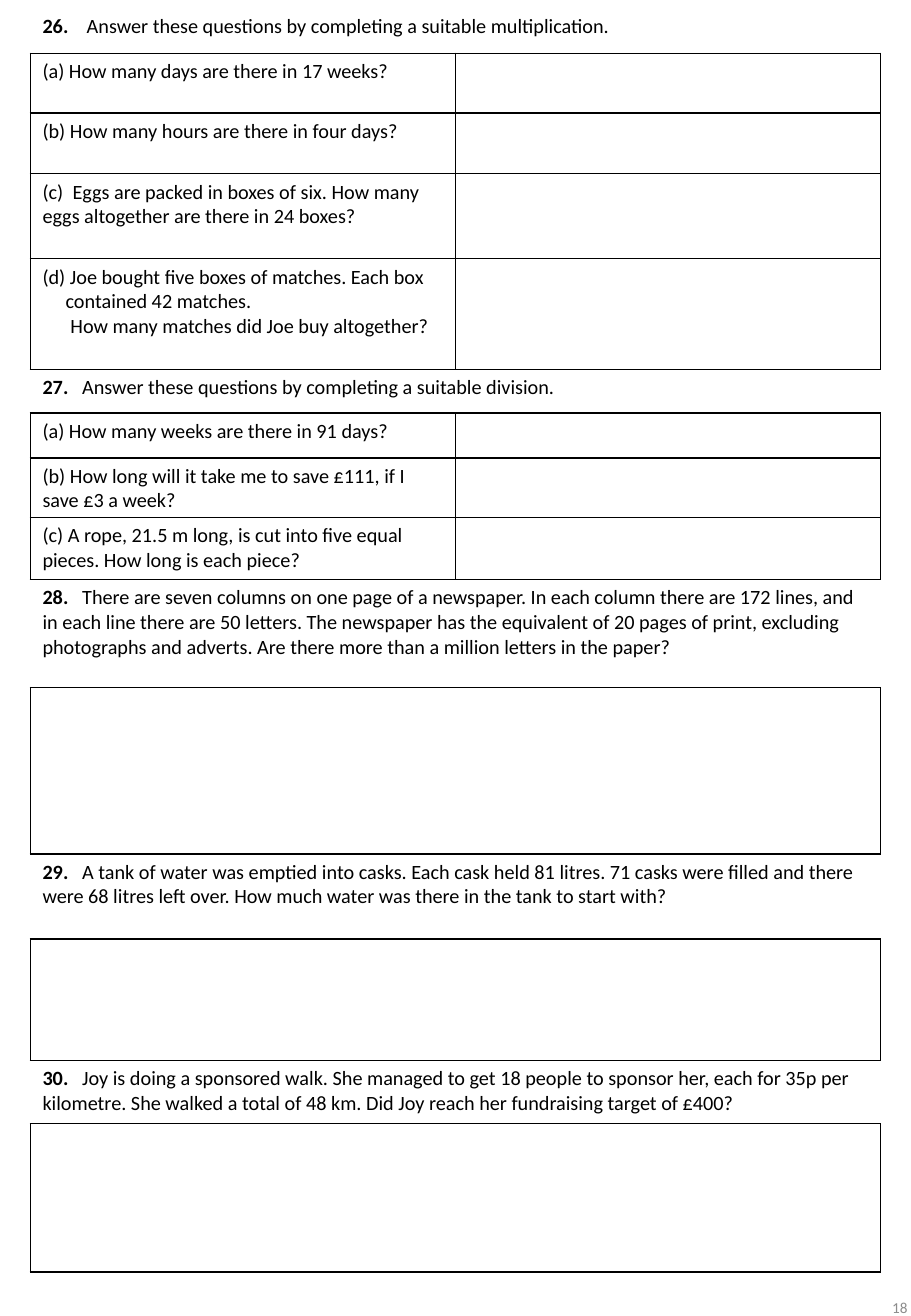
import pptx
import pptx.dml.color
import pptx.enum.text
import pptx.oxml.ns
import pptx.util
from lxml import etree

BLACK = pptx.dml.color.RGBColor(0x00, 0x00, 0x00)
GREY = pptx.dml.color.RGBColor(0x8C, 0x8C, 0x8C)
PX = 9144
QUESTION, SPLIT, OPEN = "question", "split", "open"

ROWS = [
    (37, QUESTION, [dict(label="26.", gap=813, text="Answer these questions by completing a suitable multiplication.")]),
    (49, SPLIT, [dict(text="(a) How many days are there in 17 weeks?")]),
    (50, SPLIT, [dict(text="(b) How many hours are there in four days?")]),
    (70, SPLIT, [dict(label="(c)", gap=271, bold=False, text=(
        "Eggs are packed in boxes of six. How many eggs altogether are there in 24 boxes?"))]),
    (91, SPLIT, [
        dict(left=19, first=-19, text="(d) Joe bought five boxes of matches. Each box contained 42 matches."),
        dict(left=23, text="How many matches did Joe buy altogether?"),
    ]),
    (36, QUESTION, [dict(label="27.", text="Answer these questions by completing a suitable division.")]),
    (37, SPLIT, [dict(text="(a) How many weeks are there in 91 days?")]),
    (49, SPLIT, [dict(text="(b) How long will it take me to save £111, if I save £3 a week?")]),
    (51, SPLIT, [dict(text="(c) A rope, 21.5 m long, is cut into five equal pieces. How long is each piece?")]),
    (89, QUESTION, [dict(label="28.", text=(
        "There are seven columns on one page of a newspaper. In each column there are 172 lines, "
        "and in each line there are 50 letters. The newspaper has the equivalent of 20 pages of print, "
        "excluding photographs and adverts. Are there more than a million letters in the paper?"))]),
    (137, OPEN, []),
    (70, QUESTION, [dict(label="29.", text=(
        "A tank of water was emptied into casks. Each cask held 81 litres. 71 casks were filled "
        "and there were 68 litres left over. How much water was there in the tank to start with?"))]),
    (100, OPEN, []),
    (52, QUESTION, [dict(label="30.", text=(
        "Joy is doing a sponsored walk. She managed to get 18 people to sponsor her, each for 35p "
        "per kilometre. She walked a total of 48 km. Did Joy reach her fundraising target of £400?"))]),
    (122, OPEN, []),
]


class Worksheet:
    """Draws worksheet elements on one slide in a shared style."""

    size = pptx.util.Pt(12)
    font = "Calibri"

    def __init__(self, prs):
        self.slide = prs.slides.add_slide(prs.slide_layouts[6])

    def px(self, n):
        return pptx.util.Emu(n * PX)

    def add(self, parent, tag, **attrs):
        return etree.SubElement(parent, pptx.oxml.ns.qn(tag), attrs)

    def apply(self, obj, values):
        for name, value in values.items():
            setattr(obj, name, value)

    def run(self, p, text, color=BLACK, **values):
        r = p.add_run()
        r.text = text
        self.apply(r.font, {"name": self.font, "size": self.size, "bold": False, **values})
        r.font.color.rgb = color
        return r

    def paragraph(self, p, text, label="", gap=542, bold=True, left=0, first=0):
        pPr = p._p.get_or_add_pPr()
        pPr.set("marL", str(self.px(left)))
        pPr.set("indent", str(self.px(first)))
        if label:
            self.run(p, label, bold=bold)
            space = self.run(p, " ", bold=bold)
            space._r.get_or_add_rPr().set("spc", str(gap))
        self.run(p, text)

    def borders(self, cell, sides):
        tcPr = cell._tc.get_or_add_tcPr()
        for side in "LRTB":
            ln = self.add(tcPr, "a:ln" + side, w=str(pptx.util.Pt(1)))
            if side in sides:
                fill = self.add(ln, "a:solidFill")
                self.add(fill, "a:srgbClr", val=str(BLACK))
            else:
                self.add(ln, "a:noFill")

    def cell(self, cell, paragraphs, sides):
        self.apply(cell, {"margin_left": self.px(10), "margin_right": self.px(10),
                          "margin_top": self.px(5), "margin_bottom": self.px(3)})
        self.borders(cell, sides)
        cell.fill.background()
        tf = cell.text_frame
        for i, item in enumerate(paragraphs):
            self.paragraph(tf.add_paragraph() if i else tf.paragraphs[0], **item)
        if not paragraphs:
            self.add(tf.paragraphs[0]._p, "a:endParaRPr", sz=str(int(self.size.pt * 100)))

    def table(self, x, y, w, rows):
        h = sum(row[0] for row in rows)
        sp = self.slide.shapes.add_table(len(rows), 2, *map(self.px, (x, y, w, h)))
        table = sp.table
        self.apply(table, {"first_row": False, "horz_banding": False})
        for i, (height, kind, paragraphs) in enumerate(rows):
            table.rows[i].height = self.px(height)
            start, end = table.cell(i, 0), table.cell(i, 1)
            sides = "LRTB" if kind != QUESTION else "TB" if i else "B"
            if kind != SPLIT:
                start.merge(end)
            self.cell(start, paragraphs, sides)
            self.cell(end, [], sides)

    def page_number(self, x, y, w, h, text):
        sp = self.slide.shapes.add_textbox(*map(self.px, (x, y, w, h)))
        tf = sp.text_frame
        self.apply(tf, {"word_wrap": True, "vertical_anchor": pptx.enum.text.MSO_ANCHOR.MIDDLE})
        p = tf.paragraphs[0]
        p.alignment = pptx.enum.text.PP_ALIGN.RIGHT
        self.run(p, text, GREY, size=pptx.util.Pt(9))


def main():
    prs = pptx.Presentation()
    prs.slide_width = pptx.util.Emu(750 * PX)
    prs.slide_height = pptx.util.Emu(1083 * PX)
    s = Worksheet(prs)
    s.page_number(588, 1047, 169, 58, "18")
    s.table(25, 7, 700, ROWS)
    prs.save("out.pptx")


if __name__ == "__main__":
    main()
